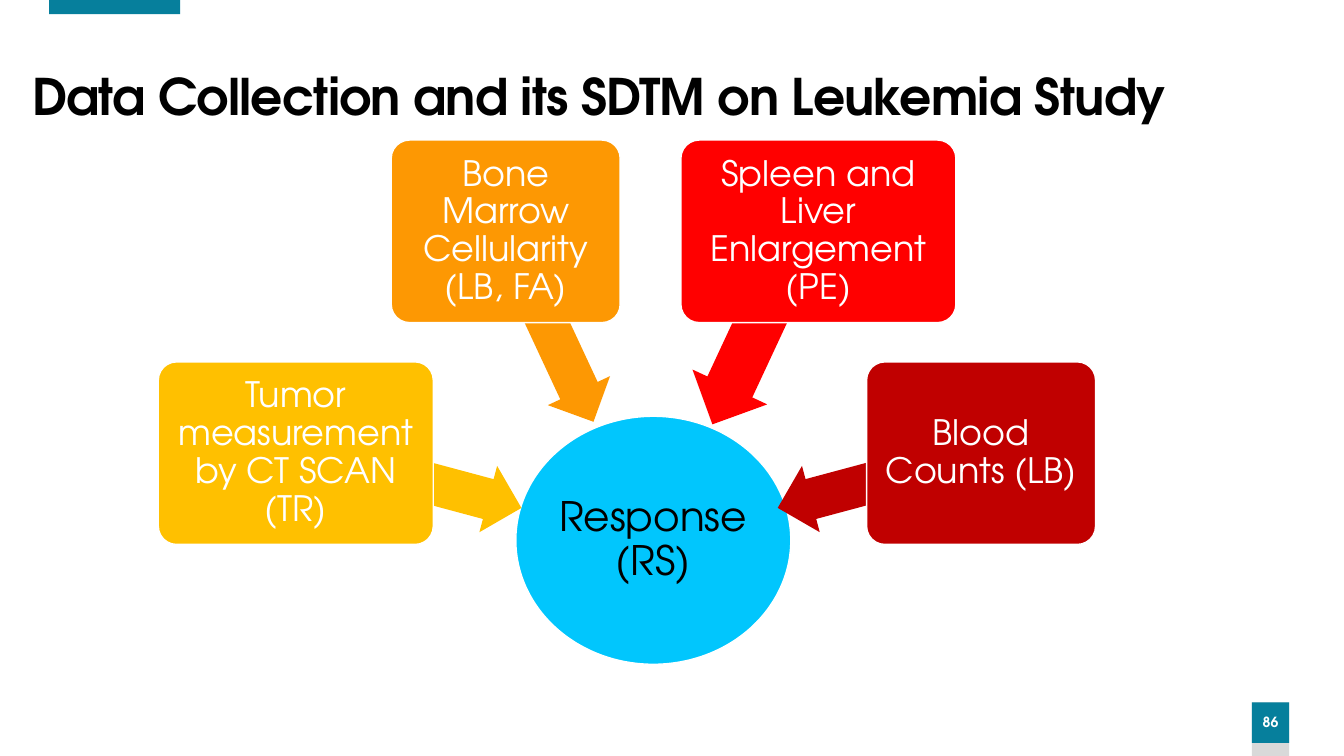
from pptx import Presentation
from pptx.dml.color import RGBColor
from pptx.enum.shapes import MSO_SHAPE
from pptx.enum.text import MSO_ANCHOR, MSO_AUTO_SIZE, PP_ALIGN
from pptx.util import Cm, Pt

FONT = "TeX Gyre Adventor"
TEAL = "067F9C"


def add_block(kind, left, top, width, height, fill, outlined=False):
    block = page.shapes.add_shape(kind, Cm(left), Cm(top), Cm(width), Cm(height))
    block.shadow.inherit = False
    block.fill.solid()
    block.fill.fore_color.rgb = RGBColor.from_string(fill)
    if outlined:
        block.line.color.rgb = RGBColor.from_string("FFFFFF")
        block.line.width = Pt(1)
    else:
        block.line.fill.background()
    return block


def write(shape, text, size, color, inset=0.13, bold=False, align=PP_ALIGN.CENTER):
    frame = shape.text_frame
    frame.word_wrap = True
    frame.auto_size = MSO_AUTO_SIZE.NONE
    frame.vertical_anchor = MSO_ANCHOR.MIDDLE
    frame.margin_left = frame.margin_right = Cm(inset)
    frame.margin_top = frame.margin_bottom = Cm(0.13)
    para = frame.paragraphs[0]
    para.text = text
    para.alignment = align
    para.line_spacing = 0.9
    para.font.name = FONT
    para.font.size = Pt(size)
    para.font.bold = bold
    para.font.color.rgb = RGBColor.from_string(color)
    return para


deck = Presentation()
deck.slide_width, deck.slide_height = Cm(33.87), Cm(19.05)
page = deck.slides.add_slide(deck.slide_layouts[5])

title = page.shapes.title
title.left, title.top, title.width, title.height = Cm(0.56), Cm(0.56), Cm(31.62), Cm(3.89)
heading = write(title, "Data Collection and its SDTM on Leukemia Study", 36, "000000",
                inset=0.25, bold=True, align=PP_ALIGN.LEFT)
heading.runs[0]._r.get_or_add_rPr().set("spc", "-60")

add_block(MSO_SHAPE.RECTANGLE, 1.24, 0, 3.3, 0.36, TEAL)
add_block(MSO_SHAPE.RECTANGLE, 31.55, 17.7, 0.94, 1.35, "D9D9D9")
page_number = add_block(MSO_SHAPE.RECTANGLE, 31.55, 17.7, 0.94, 1.02, TEAL)
write(page_number, "86", 10, "FFFFFF", inset=0, bold=True)

response = add_block(MSO_SHAPE.OVAL, 13, 10.49, 6.93, 6.25, "01C6FD", outlined=True)
write(response, "Response (RS)", 29, "000000", inset=0.05)

WIDE, NARROW = 6.93, 5.77
UPPER, LOWER = 3.53, 9.12
sources = [
    ("Tumor measurement by CT SCAN (TR)", "FFC000", 3.99, LOWER, WIDE, 7.95, 11.25, 1.73, 195),
    ("Bone Marrow Cellularity (LB, FA)", "FD9803", 9.86, UPPER, NARROW, 11.2, 7.37, 1.73, 245),
    ("Spleen and Liver Enlargement (PE)", "FF0000", 17.16, UPPER, WIDE, 16.43, 7.26, 2.08, 295),
    ("Blood Counts (LB)", "C00000", 21.84, LOWER, NARROW, 19.51, 11.25, 1.73, 345),
]
for text, color, left, top, width, arrow_left, arrow_top, arrow_height, angle in sources:
    arrow = add_block(MSO_SHAPE.LEFT_ARROW, arrow_left, arrow_top, 5.28, arrow_height, color)
    arrow.adjustments[0] = 0.6
    arrow.adjustments[1] = 0.5
    arrow.rotation = angle
    box = add_block(MSO_SHAPE.ROUNDED_RECTANGLE, left, top, width, 4.6, color, outlined=True)
    box.adjustments[0] = 0.1
    write(box, text, 25, "FFFFFF")

deck.save("out.pptx")
